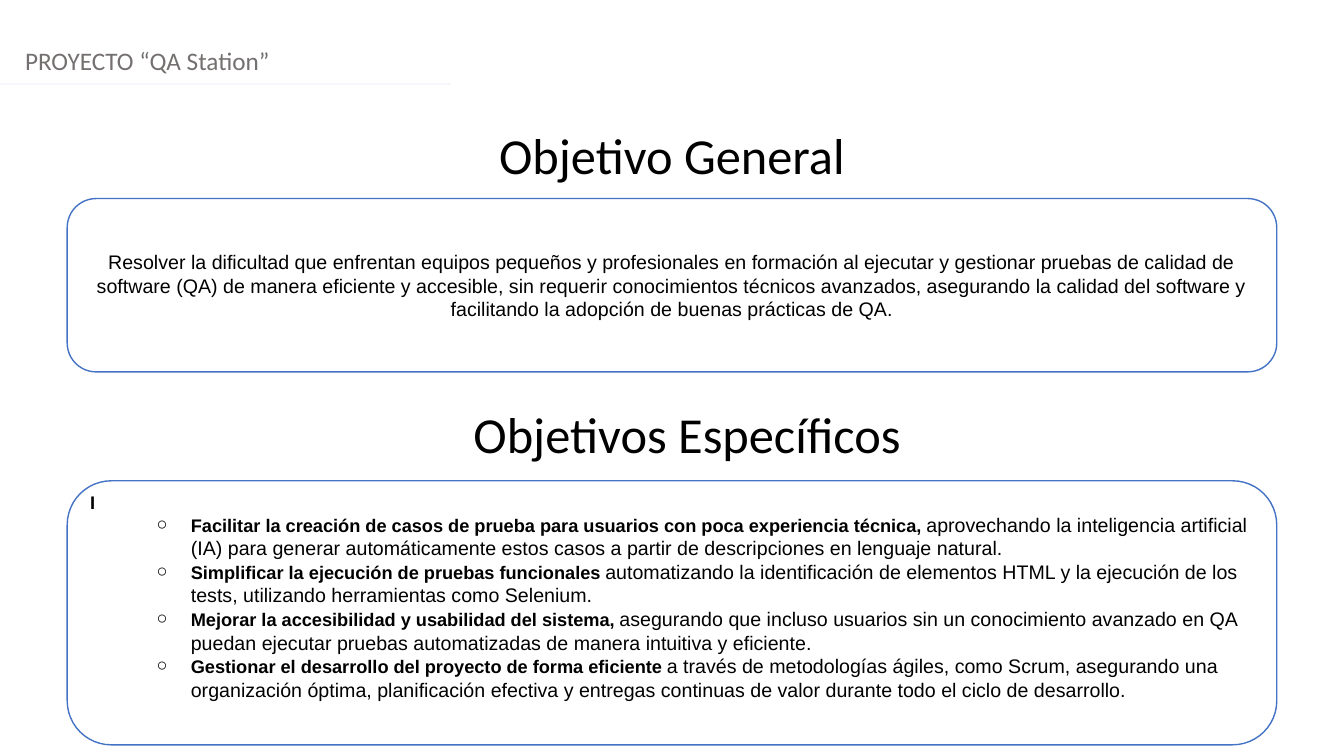
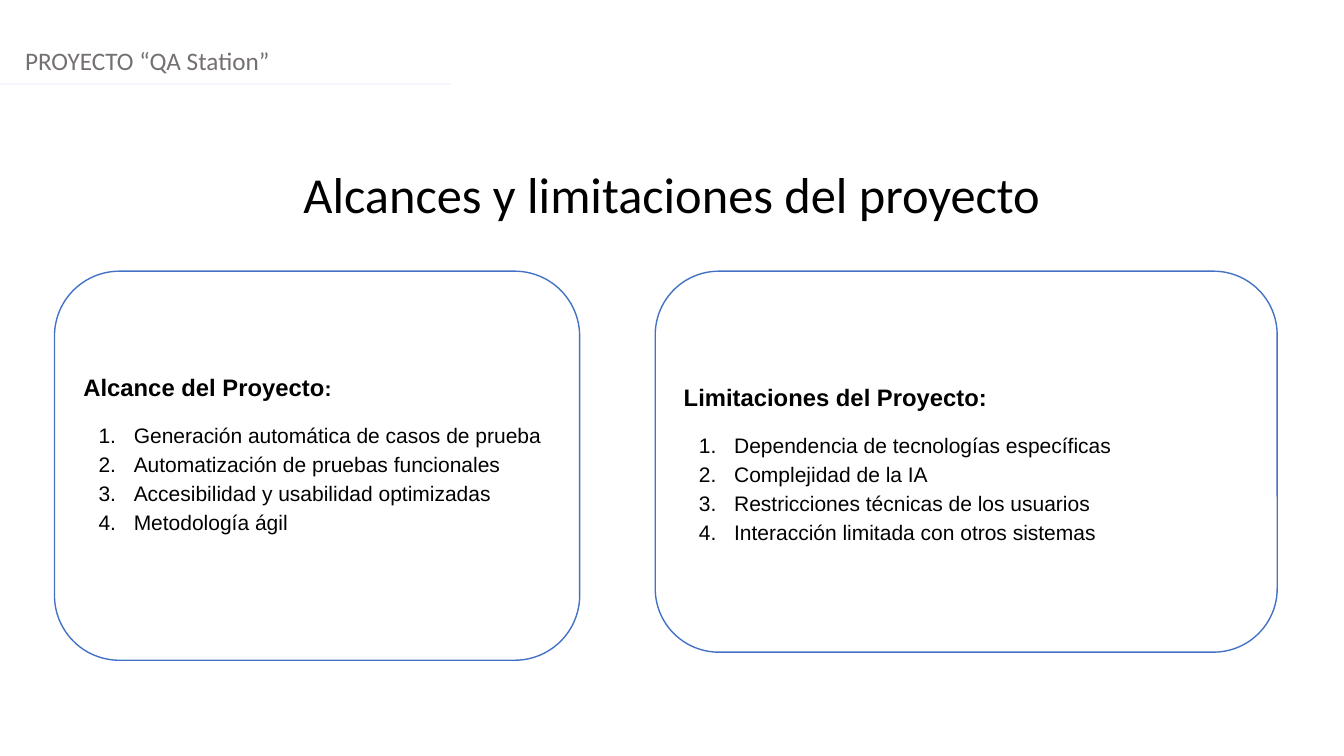
from lxml import etree
from pptx import Presentation
from pptx.dml.color import RGBColor
from pptx.enum.shapes import MSO_CONNECTOR as CONN, MSO_SHAPE as SHAPE
from pptx.enum.text import MSO_ANCHOR as ANCHOR, MSO_AUTO_SIZE as AUTO, PP_ALIGN as ALIGN
from pptx.oxml.ns import qn
from pptx.util import Emu, Inches, Pt

COLORS = {"text": "000000", "header": "757070", "rule": "F5F7FC",
          "card": "FFFFFF", "border": "4472C4"}
HEAD_FONT, BODY_FONT = "Calibri", "Arial"
W, H = Inches(13.333), Inches(7.5)
TITLE_H = 9.47
CORNER = 0.167
PAD = Inches(0.1)

GENERAL = ("Resolver la dificultad que enfrentan equipos pequeños y profesionales en formación "
           "al ejecutar y gestionar pruebas de calidad de software (QA) de manera eficiente y "
           "accesible, sin requerir conocimientos técnicos avanzados, asegurando la calidad del "
           "software y facilitando la adopción de buenas prácticas de QA.")
SPECIFIC = [
    ("Facilitar la creación de casos de prueba para usuarios con poca experiencia técnica,",
     " aprovechando la inteligencia artificial (IA) para generar automáticamente estos casos "
     "a partir de descripciones en lenguaje natural."),
    ("Simplificar la ejecución de pruebas funcionales ",
     "automatizando la identificación de elementos HTML y la ejecución de los tests, "
     "utilizando herramientas como Selenium."),
    ("Mejorar la accesibilidad y usabilidad del sistema, ",
     "asegurando que incluso usuarios sin un conocimiento avanzado en QA puedan ejecutar "
     "pruebas automatizadas de manera intuitiva y eficiente."),
    ("Gestionar el desarrollo del proyecto de forma eficiente ",
     "a través de metodologías ágiles, como Scrum, asegurando una organización óptima, "
     "planificación efectiva y entregas continuas de valor durante todo el ciclo de desarrollo."),
]
SCOPE = ["Generación automática de casos de prueba", "Automatización de pruebas funcionales",
         "Accesibilidad y usabilidad optimizadas", "Metodología ágil"]
LIMITS = ["Dependencia de tecnologías específicas", "Complejidad de la IA",
          "Restricciones técnicas de los usuarios", "Interacción limitada con otros sistemas"]


def rgb(name):
    return RGBColor.from_string(COLORS[name])


def box(x, y, w, h):
    """Turn percentages of the slide into lengths."""
    return [Emu(round(v * side / 100)) for v, side in zip((x, y, w, h), (W, H, W, H))]


def place(sp, area):
    sp.left, sp.top, sp.width, sp.height = area


def style(r, size, font=BODY_FONT, color="text", bold=False):
    r.font.size, r.font.name, r.font.bold = Pt(size), font, bold
    r.font.color.rgb = rgb(color)


def indent(p, left=0.0, hang=0.0, bullet=None):
    """Set the indent in inches; bullet is a character, "auto" or None."""
    pPr = p._p.get_or_add_pPr()
    pPr.set("marL", str(Inches(left)))
    pPr.set("indent", str(Inches(hang)))
    if bullet is None:
        etree.SubElement(pPr, qn("a:buNone"))
        return
    clr = etree.SubElement(pPr, qn("a:buClr"))
    etree.SubElement(clr, qn("a:srgbClr"), val=COLORS["text"])
    etree.SubElement(pPr, qn("a:buFont"), typeface=BODY_FONT)
    if bullet == "auto":
        etree.SubElement(pPr, qn("a:buAutoNum"), type="arabicPeriod")
    else:
        etree.SubElement(pPr, qn("a:buChar"), char=bullet)


def add_line(tf, parts, before=0, spacing=1.0, level=0, **ind):
    """Append a paragraph made of (text, size, bold) parts."""
    p = tf.paragraphs[0] if not tf.text else tf.add_paragraph()
    p.level, p.alignment = level, ALIGN.LEFT
    p.space_before, p.space_after, p.line_spacing = Pt(before), Pt(0), spacing
    indent(p, **ind)
    for text, size, bold in parts:
        r = p.add_run()
        r.text = text
        style(r, size, bold=bold)


def heading(sp, text, x, y):
    place(sp, box(x, y, 100, TITLE_H))
    tf = sp.text_frame
    tf.word_wrap, tf.auto_size, tf.vertical_anchor = True, AUTO.NONE, ANCHOR.TOP
    tf.text = text
    p = tf.paragraphs[0]
    p.alignment = ALIGN.CENTER
    style(p.runs[0], 36, HEAD_FONT)


def new_slide(prs, layout, title, title_y):
    s = prs.slides.add_slide(prs.slide_layouts[layout])
    heading(s.shapes.title, title, 0, title_y)
    # Project header
    tf = s.shapes.add_textbox(*box(1.13, 5.33, 100, 5.33)).text_frame
    tf.word_wrap = True
    tf.text = "PROYECTO “QA Station”"
    style(tf.paragraphs[0].runs[0], 18, HEAD_FONT, "header")
    # Rule below the header
    x, y, w, _ = box(0, 11.07, 33.53, 0)
    rule = s.shapes.add_connector(CONN.STRAIGHT, x, y, x + w, y)
    rule.line.color.rgb, rule.line.width = rgb("rule"), Pt(1.25)
    etree.SubElement(rule._element.spPr, qn("a:effectLst"))
    return s


def add_card(s, area):
    sp = s.shapes.add_shape(SHAPE.ROUNDED_RECTANGLE, *area)
    sp.adjustments[0] = CORNER
    sp.shadow.inherit = False
    sp.fill.solid()
    sp.fill.fore_color.rgb = rgb("card")
    sp.line.color.rgb, sp.line.width = rgb("border"), Pt(1)
    return sp


def card_body(s, idx, area, anchor, lift=0.0):
    """Lay a body placeholder over a card, its text raised by lift inches."""
    card, body = add_card(s, area), s.placeholders[idx]
    body._element.addprevious(card._element)
    place(body, area)
    tf = body.text_frame
    tf.word_wrap, tf.auto_size, tf.vertical_anchor = True, AUTO.NONE, anchor
    # The text clears the rounded corners
    inset = round(min(area[2:]) * CORNER * 0.29) + PAD
    tf.margin_left = tf.margin_right = inset
    tf.margin_top, tf.margin_bottom = PAD, PAD + Inches(2 * lift)
    return tf


def numbered_card(s, idx, area, title_parts, items, lift=0.0):
    tf = card_body(s, idx, area, ANCHOR.MIDDLE, lift)
    add_line(tf, title_parts, before=14, spacing=1.15)
    for i, item in enumerate(items):
        add_line(tf, [(item, 15, False)], before=0 if i else 12, spacing=1.15,
                 left=0.5, hang=-0.35, bullet="auto")


def objectives_slide(prs):
    s = new_slide(prs, 1, "Objetivo General", 15.73)
    # General objective
    tf = add_card(s, box(5, 26.27, 90, 22.93)).text_frame
    tf.word_wrap, tf.vertical_anchor = True, ANCHOR.MIDDLE
    tf.text = GENERAL
    p = tf.paragraphs[0]
    p.alignment = ALIGN.CENTER
    style(p.runs[0], 14)
    # Specific objectives
    heading(s.shapes.add_textbox(0, 0, W, H), "Objetivos Específicos", 1.13, 52.67)
    tf = card_body(s, 1, box(5, 63.6, 90, 34.93), ANCHOR.TOP)
    add_line(tf, [("I", 13, True)])
    for lead, rest in SPECIFIC:
        add_line(tf, [(lead, 13, True), (rest, 14, False)], level=1,
                 left=1, hang=-0.34, bullet="○")


def scope_slide(prs):
    s = new_slide(prs, 3, "Alcances y limitaciones del proyecto", 20.93)
    numbered_card(s, 1, box(4.05, 35.87, 39.08, 51.47),
                  [("Alcance del Proyecto", 17, True), (":", 15, True)], SCOPE, lift=0.14)
    numbered_card(s, 2, box(48.75, 35.87, 46.28, 50.4),
                  [("Limitaciones del Proyecto:", 17, True)], LIMITS)


def main():
    prs = Presentation()
    prs.slide_width, prs.slide_height = W, H
    objectives_slide(prs)
    scope_slide(prs)
    prs.save("out.pptx")


if __name__ == "__main__":
    main()
